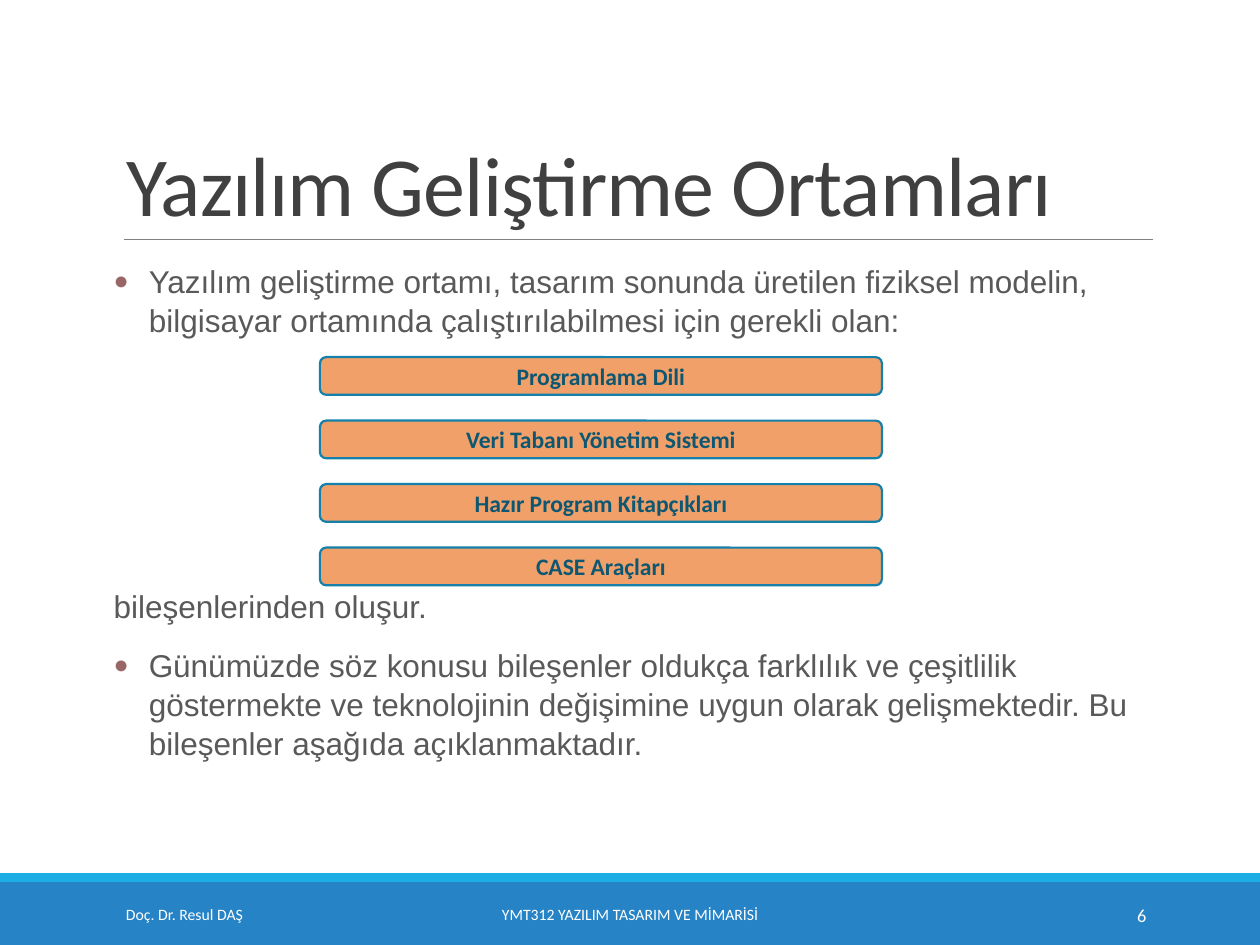
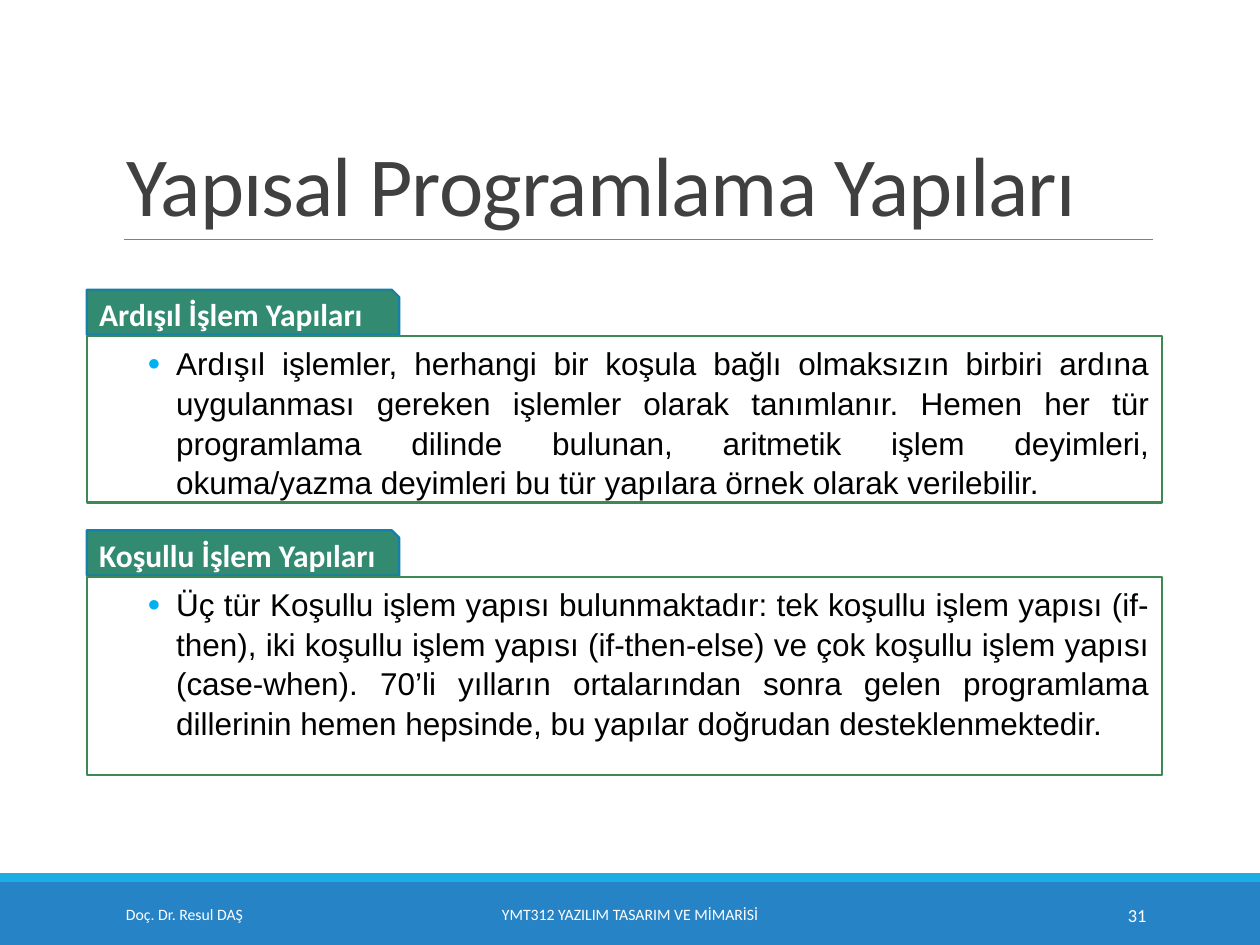
from lxml.etree import SubElement
from pptx import Presentation
from pptx.dml.color import RGBColor
from pptx.enum.shapes import MSO_CONNECTOR, MSO_SHAPE as Shape
from pptx.enum.text import MSO_ANCHOR as Anchor, MSO_AUTO_SIZE, PP_ALIGN as Align
from pptx.oxml.ns import qn
from pptx.util import Cm, Pt

# Content
ENVIRONMENTS = {
    "title": "Yazılım Geliştirme Ortamları",
    "number": "6",
    "intro": "Yazılım geliştirme ortamı, tasarım sonunda üretilen fiziksel modelin, "
             "bilgisayar ortamında çalıştırılabilmesi için gerekli olan:",
    "components": ["Programlama Dili", "Veri Tabanı Yönetim Sistemi",
                   "Hazır Program Kitapçıkları", "CASE Araçları"],
    "closing": "bileşenlerinden oluşur.",
    "today": "Günümüzde söz konusu bileşenler oldukça farklılık ve çeşitlilik "
             "göstermekte ve teknolojinin değişimine uygun olarak gelişmektedir. "
             "Bu bileşenler aşağıda açıklanmaktadır.",
}
STRUCTURES = {
    "title": "Yapısal Programlama Yapıları",
    "number": "31",
    # heading, explanation, top and panel height in cm
    "sections": [
        ("Ardışıl İşlem Yapıları",
         "Ardışıl işlemler, herhangi bir koşula bağlı olmaksızın birbiri ardına "
         "uygulanması gereken işlemler olarak tanımlanır. Hemen her tür programlama "
         "dilinde bulunan, aritmetik işlem deyimleri, okuma/yazma deyimleri bu tür "
         "yapılara örnek olarak verilebilir.", 5.84, 3.35),
        ("Koşullu İşlem Yapıları",
         "Üç tür Koşullu işlem yapısı bulunmaktadır: tek koşullu işlem yapısı "
         "(if-then), iki koşullu işlem yapısı (if-then-else) ve çok koşullu işlem "
         "yapısı (case-when). 70’li yılların ortalarından sonra gelen programlama "
         "dillerinin hemen hepsinde, bu yapılar doğrudan desteklenmektedir.", 10.69, 3.99),
    ],
}
LECTURER = "Doç. Dr. Resul DAŞ"
COURSE = "YMT312 YAZILIM TASARIM VE MİMARİSİ"

# Shared style
WHITE, BLACK = "FFFFFF", "000000"
TITLE_GREY, BODY_GREY, RULE_GREY = "404040", "595959", "808080"
BAND_BLUE, STRIP_BLUE, OUTLINE_BLUE = "2683C6", "1CADE4", "1580A9"
ORANGE, NAVY = "F1A069", "0E5772"
TAB_GREEN, PANEL_GREEN = "328B71", "3E8853"
PLUM_BULLET = ("996666", 80)
BLUE_BULLET = ("00B0F0", 70)
HEADING_FONT, BODY_FONT = "Calibri", "Arial"
CONTENT_LEFT, CONTENT_WIDTH = 2.29, 20.96
SLIDE_WIDTH, SLIDE_HEIGHT = 25.4, 19.05


def rgb(value):
    return RGBColor.from_string(value)


def cm_box(*lengths):
    return [Cm(length) for length in lengths]


def add_bullet(paragraph, bullet, left, hanging):
    color, percent = bullet
    props = paragraph._p.get_or_add_pPr()
    props.set("marL", str(Cm(left)))
    props.set("indent", str(-Cm(hanging)))
    SubElement(SubElement(props, qn("a:buClr")), qn("a:srgbClr")).set("val", color)
    SubElement(props, qn("a:buSzPct")).set("val", str(percent * 1000))
    SubElement(props, qn("a:buFont")).set("typeface", BODY_FONT)
    SubElement(props, qn("a:buChar")).set("char", "●")


def write(frame, text, size=18, font=HEADING_FONT, color=WHITE, bold=False,
          align=Align.LEFT, anchor=Anchor.MIDDLE, spacing=None, before=None,
          bullet=None, left=0, hanging=0, tracking=None):
    """Fill the frame's empty first paragraph, or append a new one."""
    frame.word_wrap = True
    frame.auto_size = MSO_AUTO_SIZE.NONE
    frame.vertical_anchor = anchor
    paragraph = frame.add_paragraph() if frame.text else frame.paragraphs[0]
    if bullet:
        add_bullet(paragraph, bullet, left, hanging)
    paragraph.alignment = align
    if spacing:
        paragraph.line_spacing = spacing
    if before:
        paragraph.space_before = Pt(before)
    run = paragraph.add_run()
    run.text = text
    run.font.size, run.font.name, run.font.bold = Pt(size), font, bold
    run.font.color.rgb = rgb(color)
    if tracking:
        run._r.get_or_add_rPr().set("spc", str(tracking))


def add_block(slide, kind, box, fill, outline=None):
    block = slide.shapes.add_shape(kind, *cm_box(*box))
    block.shadow.inherit = False
    block.fill.solid()
    block.fill.fore_color.rgb = rgb(fill)
    if outline:
        block.line.color.rgb = rgb(outline)
        block.line.width = Pt(1.25)
    else:
        block.line.fill.background()
    return block


def add_frame(slide, box):
    return slide.shapes.add_textbox(*cm_box(*box)).text_frame


def add_base_slide(deck, title, number):
    """Add a slide with its title, rule, bottom bands and footer."""
    slide = deck.slides.add_slide(deck.slide_layouts[5])
    add_block(slide, Shape.RECTANGLE, (0, 17.78, SLIDE_WIDTH, 1.27), BAND_BLUE)
    add_block(slide, Shape.RECTANGLE, (0, 17.6, SLIDE_WIDTH, 0.18), STRIP_BLUE)
    rule = slide.shapes.add_connector(MSO_CONNECTOR.STRAIGHT,
                                      *cm_box(2.49, 4.83, 23.24, 4.83))
    rule.line.color.rgb = rgb(RULE_GREY)
    rule.line.width = Pt(0.5)
    SubElement(rule._element.spPr, qn("a:effectLst"))

    heading = slide.shapes.title
    heading.left, heading.top, heading.width, heading.height = cm_box(
        CONTENT_LEFT, 0.79, CONTENT_WIDTH, 4.04)
    write(heading.text_frame, title, size=48, color=TITLE_GREY,
          anchor=Anchor.BOTTOM, spacing=0.85, tracking=-50)

    for text, left, width, size, align in (
            (LECTURER, CONTENT_LEFT, 5.16, 9, Align.LEFT),
            (COURSE, 7.67, 10.06, 9, Align.CENTER),
            (number, 20.62, 2.74, 10.5, Align.RIGHT)):
        write(add_frame(slide, (left, 17.93, width, 1.02)), text, size=size, align=align)
    return slide


def add_environments(deck, content):
    slide = add_base_slide(deck, content["title"], content["number"])
    body = add_frame(slide, (CONTENT_LEFT, 5.13, CONTENT_WIDTH, 11.18))
    body.margin_left = body.margin_right = 0
    style = dict(font=BODY_FONT, color=BODY_GREY, anchor=Anchor.TOP, spacing=1.04)
    bulleted = dict(style, bullet=PLUM_BULLET, left=0.71, hanging=0.71)
    write(body, content["intro"], **bulleted)
    write(body, content["closing"], before=141, **style)  # room for the components
    write(body, content["today"], before=10.8, **bulleted)

    first_top, pitch = 7.2, 1.28
    for index, component in enumerate(content["components"]):
        box = (6.45, first_top + index * pitch, 11.33, 0.76)
        button = add_block(slide, Shape.ROUNDED_RECTANGLE, box, ORANGE, OUTLINE_BLUE)
        write(button.text_frame, component, size=13.5, color=NAVY, bold=True,
              align=Align.CENTER)


def add_structures(deck, content):
    slide = add_base_slide(deck, content["title"], content["number"])
    left, tab_height, panel_offset = 1.75, 0.91, 0.94
    for heading, explanation, top, panel_height in content["sections"]:
        tab = add_block(slide, Shape.SNIP_1_RECTANGLE, (left, top, 6.3, tab_height),
                        TAB_GREEN, OUTLINE_BLUE)
        write(tab.text_frame, heading, bold=True)
        panel = add_block(slide, Shape.RECTANGLE,
                          (left, top + panel_offset, 21.67, panel_height),
                          WHITE, PANEL_GREEN)
        write(panel.text_frame, explanation, font=BODY_FONT, color=BLACK,
              align=Align.JUSTIFY, anchor=Anchor.TOP, spacing=1.05,
              bullet=BLUE_BULLET, left=1.55, hanging=0.58)


def main():
    deck = Presentation()
    deck.slide_width, deck.slide_height = cm_box(SLIDE_WIDTH, SLIDE_HEIGHT)
    add_environments(deck, ENVIRONMENTS)
    add_structures(deck, STRUCTURES)
    deck.save("out.pptx")


if __name__ == "__main__":
    main()
